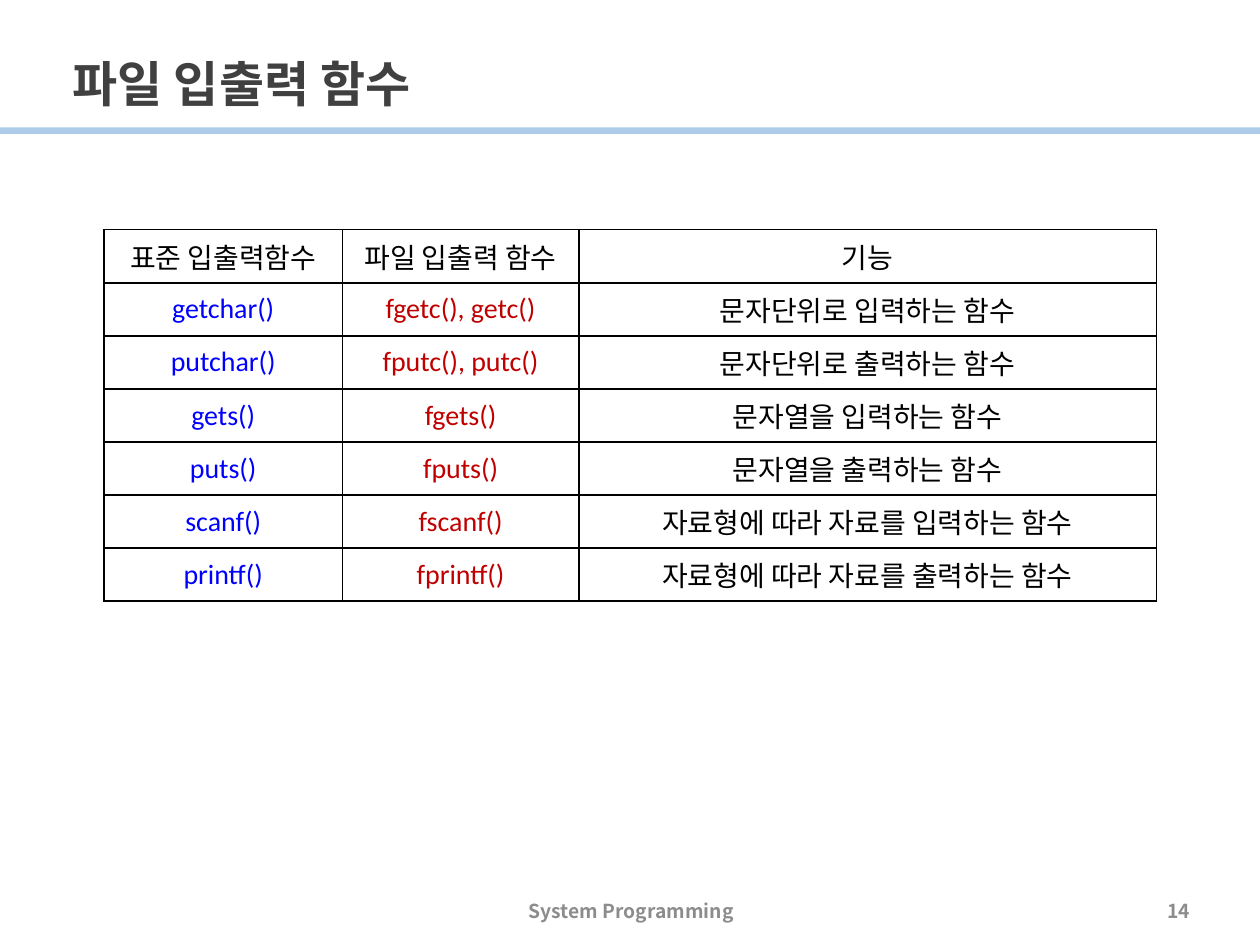
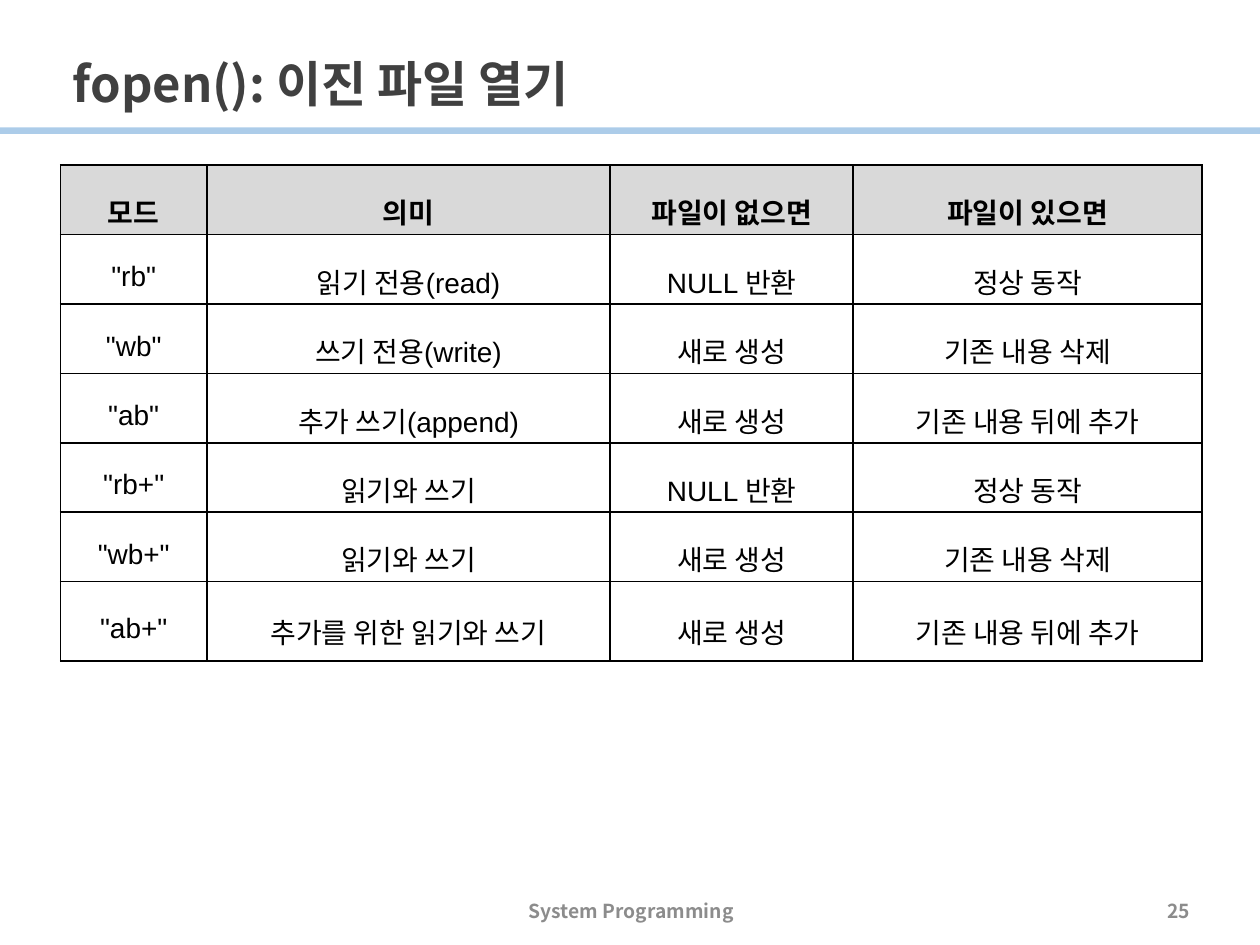
import pptx
import pptx.dml.color
import pptx.enum.shapes
import pptx.enum.text
import pptx.oxml.ns
import pptx.util
from lxml import etree

Cm, Pt = pptx.util.Cm, pptx.util.Pt
RGBColor = pptx.dml.color.RGBColor
Align = pptx.enum.text.PP_ALIGN
Anchor = pptx.enum.text.MSO_ANCHOR
qn = pptx.oxml.ns.qn

BAND_BLUE = RGBColor(0x5B, 0x9B, 0xD5)
TITLE_GREY = RGBColor(0x40, 0x40, 0x40)
FOOTER_GREY = RGBColor(0x8C, 0x8C, 0x8C)
HEADER_FILL = RGBColor(0xD9, 0xD9, 0xD9)
BLACK = RGBColor(0, 0, 0)
STANDARD_BLUE = RGBColor(0, 0, 0xFF)
FILE_RED = RGBColor(0xC0, 0, 0)
KOREAN_FONT = "Noto Sans CJK KR"


class Lecture:
    """Holds the lecture style and the slide being filled."""

    def __init__(self):
        self.deck = pptx.Presentation()
        self.deck.slide_width, self.deck.slide_height = Cm(25.4), Cm(19.05)
        self.slide = None

    def new_slide(self, title, number):
        self.slide = self.deck.slides.add_slide(self.deck.slide_layouts[6])
        self.band()
        self.text(title, (1.22, 0.38, 23.01, 2.03), 28, TITLE_GREY,
                  Align.LEFT, Anchor.BOTTOM, 0.9)
        self.text("System Programming", (8.43, 18.08, 8.59, 0.58), 11,
                  FOOTER_GREY, Align.CENTER)
        self.text(str(number), (18.52, 18.08, 5.72, 0.58), 11,
                  FOOTER_GREY, Align.RIGHT)

    def band(self):
        band = self.slide.shapes.add_shape(
            pptx.enum.shapes.MSO_SHAPE.RECTANGLE,
            0, Cm(2.57), self.deck.slide_width, Cm(0.13))
        band.shadow.inherit = False
        band.line.fill.background()
        band.fill.solid()
        band.fill.fore_color.rgb = BAND_BLUE
        colour = band.fill._xPr.find(".//" + qn("a:srgbClr"))
        etree.SubElement(colour, qn("a:alpha"), val="50000")

    def style(self, paragraph, size, colour, font, bold, align, spacing):
        paragraph.alignment = align
        paragraph.line_spacing = spacing
        paragraph.font.size = Pt(size)
        paragraph.font.bold = bold
        paragraph.font.color.rgb = colour
        paragraph.font.name = font
        # Hangul takes its own font
        defaults = paragraph._p.pPr.find(qn("a:defRPr"))
        etree.SubElement(defaults, qn("a:ea"), typeface=KOREAN_FONT)

    def text(self, words, box, size, colour, align,
             anchor=Anchor.MIDDLE, spacing=1.0):
        frame = self.slide.shapes.add_textbox(*map(Cm, box)).text_frame
        frame.word_wrap = True
        frame.vertical_anchor = anchor
        frame.text = words
        self.style(frame.paragraphs[0], size, colour, KOREAN_FONT, True,
                   align, spacing)

    def border(self, cell):
        properties = cell._tc.get_or_add_tcPr()
        for side in ("a:lnL", "a:lnR", "a:lnT", "a:lnB"):
            line = etree.SubElement(properties, qn(side), w=str(Pt(1)))
            fill = etree.SubElement(line, qn("a:solidFill"))
            etree.SubElement(fill, qn("a:srgbClr"), val=str(BLACK))

    def table(self, rows, left, top, widths, heights, font, spacing=1.0,
              colours=(), header_fill=None):
        """Draw a grid; colours apply to the body columns, in order."""
        table = self.slide.shapes.add_table(
            len(rows), len(widths), Cm(left), Cm(top),
            Cm(sum(widths)), Cm(sum(heights))).table
        table.first_row = table.horz_banding = False
        for column, width in zip(table.columns, widths):
            column.width = Cm(width)
        for row, height in zip(table.rows, heights):
            row.height = Cm(height)
        for r, row in enumerate(rows):
            for c, words in enumerate(row):
                cell = table.cell(r, c)
                cell.vertical_anchor = Anchor.MIDDLE
                cell.text = words
                is_header = r == 0
                filled = is_header and header_fill is not None
                colour = colours[c] if colours and not is_header else BLACK
                self.style(cell.text_frame.paragraphs[0], 16, colour, font,
                           filled, Align.CENTER, spacing)
                self.border(cell)
                if filled:
                    cell.fill.solid()
                    cell.fill.fore_color.rgb = header_fill
                else:
                    cell.fill.background()


IO_FUNCTIONS = [
    ("표준 입출력함수", "파일 입출력 함수", "기능"),
    ("getchar()", "fgetc(), getc()", "문자단위로 입력하는 함수"),
    ("putchar()", "fputc(), putc()", "문자단위로 출력하는 함수"),
    ("gets()", "fgets()", "문자열을 입력하는 함수"),
    ("puts()", "fputs()", "문자열을 출력하는 함수"),
    ("scanf()", "fscanf()", "자료형에 따라 자료를 입력하는 함수"),
    ("printf()", "fprintf()", "자료형에 따라 자료를 출력하는 함수"),
]

BINARY_MODES = [
    ("모드", "의미", "파일이 없으면", "파일이 있으면"),
    ('"rb"', "읽기 전용(read)", "NULL 반환", "정상 동작"),
    ('"wb"', "쓰기 전용(write)", "새로 생성", "기존 내용 삭제"),
    ('"ab"', "추가 쓰기(append)", "새로 생성", "기존 내용 뒤에 추가"),
    ('"rb+"', "읽기와 쓰기", "NULL 반환", "정상 동작"),
    ('"wb+"', "읽기와 쓰기", "새로 생성", "기존 내용 삭제"),
    ('"ab+"', "추가를 위한 읽기와 쓰기", "새로 생성", "기존 내용 뒤에 추가"),
]


def main():
    lecture = Lecture()

    # Standard and file I/O functions side by side
    lecture.new_slide("파일 입출력 함수", 14)
    lecture.table(IO_FUNCTIONS, 2.1, 4.63, (4.8, 4.77, 11.64), [1.07] * 7,
                  "Calibri", colours=(STANDARD_BLUE, FILE_RED, BLACK))

    # Modes for opening binary files
    lecture.new_slide("fopen(): 이진 파일 열기", 25)
    lecture.table(BINARY_MODES, 1.22, 3.33, (2.95, 8.13, 4.9, 7.03),
                  [1.4] * 6 + [1.6], "Arial", spacing=1.5,
                  header_fill=HEADER_FILL)

    lecture.deck.save("out.pptx")


if __name__ == "__main__":
    main()
